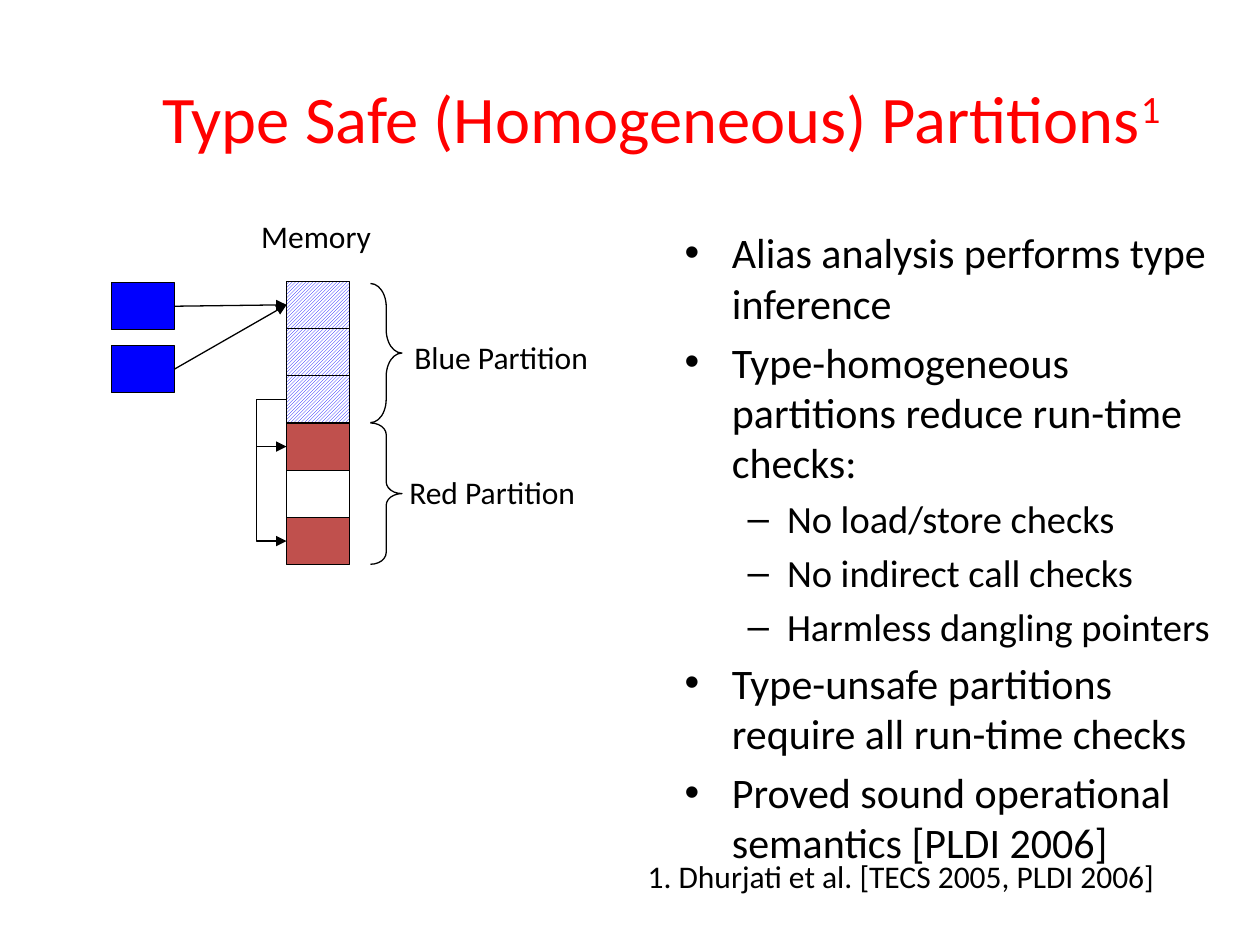
"""Build the slide on type-safe memory partitions."""
from dataclasses import dataclass

from lxml import etree
from pptx import Presentation
from pptx.dml.color import RGBColor
from pptx.enum.dml import MSO_PATTERN
from pptx.enum.shapes import MSO_CONNECTOR, MSO_SHAPE
from pptx.enum.text import MSO_AUTO_SIZE
from pptx.oxml.ns import qn
from pptx.util import Pt

RECTANGLE = MSO_SHAPE.RECTANGLE
BRACE = MSO_SHAPE.RIGHT_BRACE
STRAIGHT = MSO_CONNECTOR.STRAIGHT
HATCH = MSO_PATTERN.DARK_UPWARD_DIAGONAL
LEFT_SIDE, RIGHT_SIDE = 1, 3

FONT = "Calibri"
BLACK, WHITE, BLUE, RED = "000000", "FFFFFF", "0000FF", "C0504D"
TITLE_RED = "FF0000"
CELL_WIDTH, CELL_HEIGHT = 36, 27
MEMORY_LEFT, MEMORY_TOP = 163.75, 160.7
POINTER_LEFT, POINTER_TOP, POINTER_PITCH = 63.6, 161.5, 36
LOOP_REACH = 17


@dataclass
class Label:
    """A line of text and its frame."""
    text: str
    left: float
    top: float
    width: float


@dataclass
class Brace:
    """A right brace beside one partition."""
    top: float
    height: float
    curve: float


@dataclass
class Bullet:
    """A list item with its level and size."""
    text: str
    level: int = 0
    size: float = 24


CELL_FILLS = ["hatch", "hatch", "hatch", RED, None, RED]
LABELS = [
    Label("Memory", 142.2, 120.6, 79),
    Label("Blue Partition", 229.7, 189.5, 121.7),
    Label("Red Partition", 226.8, 267, 118.8),
    Label("1. Dhurjati et al. [TECS 2005, PLDI 2006]", 363, 486, 348.5),
]
BRACES = [Brace(162, 79.5, 0.74), Brace(241.7, 80.8, 0.372)]
BULLETS = [
    Bullet("Alias analysis performs type inference"),
    Bullet("Type-homogeneous partitions reduce run-time checks:"),
    Bullet("No load/store checks", 1, 22),
    Bullet("No indirect call checks", 1, 22),
    Bullet("Harmless dangling pointers", 1, 22),
    Bullet("Type-unsafe partitions require all run-time checks"),
    Bullet("Proved sound operational semantics [PLDI 2006]"),
]


def color(value: str) -> RGBColor:
    """Turn a hex string into a colour."""
    return RGBColor.from_string(value)


def place(box, left: float, top: float, width: float, height: float) -> None:
    """Move and size a placeholder."""
    box.left, box.top, box.width, box.height = map(Pt, (left, top, width, height))


def write(para, text: str, *, size: float, fill: str = BLACK, raised: bool = False) -> None:
    """Add a formatted span to a paragraph."""
    span = para.add_run()
    span.text = text
    span.font.name = FONT
    span.font.size = Pt(size)
    span.font.color.rgb = color(fill)
    if raised:
        span.font._element.set("baseline", "30000")


def style_line(item, *, arrow: bool = False) -> None:
    """Give an item a thin black line, with an arrowhead if asked."""
    item.line.color.rgb = color(BLACK)
    item.line.width = Pt(0.75)
    if arrow:
        etree.SubElement(item.line._get_or_add_ln(), qn("a:tailEnd"), type="triangle")


def add_outline(page, kind, left: float, top: float, width: float, height: float):
    """Add an unfilled shape with a thin black line."""
    shape = page.shapes.add_shape(kind, *map(Pt, (left, top, width, height)))
    shape.shadow.inherit = False
    shape.fill.background()
    style_line(shape)
    return shape


def add_cell(page, left: float, top: float, fill: str | None):
    """Add one memory cell or pointer square."""
    cell = add_outline(page, RECTANGLE, left, top, CELL_WIDTH, CELL_HEIGHT)
    if fill == "hatch":
        cell.fill.patterned()
        cell.fill.pattern = HATCH
        cell.fill.fore_color.rgb = color(BLUE)
        cell.fill.back_color.rgb = color(WHITE)
    elif fill:
        cell.fill.solid()
        cell.fill.fore_color.rgb = color(fill)
    return cell


def add_arrow(page, source, target) -> None:
    """Join the right side of the source to the left side of the target."""
    arrow = page.shapes.add_connector(STRAIGHT, 0, 0, 0, 0)
    arrow.begin_connect(source, RIGHT_SIDE)
    arrow.end_connect(target, LEFT_SIDE)
    style_line(arrow, arrow=True)
    etree.SubElement(arrow._element.spPr, qn("a:effectLst"))


def add_loop(page, source, target) -> None:
    """Draw a bent arrow around the left side of the cells."""
    start, end = (cell.top + cell.height // 2 for cell in (source, target))
    bend = source.left - Pt(LOOP_REACH)
    builder = page.shapes.build_freeform(source.left, start)
    builder.add_line_segments([(bend, start), (bend, end), (target.left, end)], close=False)
    loop = builder.convert_to_shape()
    loop.shadow.inherit = False
    loop.fill.background()
    style_line(loop, arrow=True)


def add_label(page, label: Label) -> None:
    """Add a one-line text box."""
    box = page.shapes.add_textbox(*map(Pt, (label.left, label.top, label.width, 29)))
    box.text_frame.word_wrap = False
    box.text_frame.auto_size = MSO_AUTO_SIZE.SHAPE_TO_FIT_TEXT
    write(box.text_frame.paragraphs[0], label.text, size=18)


def fill_placeholders(page) -> None:
    """Write the title and the list."""
    title, body = page.placeholders
    place(title, 72, 21.6, 612, 90)
    para = title.text_frame.paragraphs[0]
    write(para, "Type Safe (Homogeneous) Partitions", size=38, fill=TITLE_RED)
    write(para, "1", size=38, fill=TITLE_RED, raised=True)
    place(body, 384, 126, 327.6, 356.4)
    frame = body.text_frame
    frame.auto_size = MSO_AUTO_SIZE.NONE
    for index, bullet in enumerate(BULLETS):
        para = frame.add_paragraph() if index else frame.paragraphs[0]
        para.level = bullet.level
        write(para, bullet.text, size=bullet.size)
    frame.paragraphs[0].space_before = Pt(0)


def draw_memory(page) -> None:
    """Draw the cells, pointers, arrows and braces."""
    cells = [add_cell(page, MEMORY_LEFT, MEMORY_TOP + row * CELL_HEIGHT, fill)
             for row, fill in enumerate(CELL_FILLS)]
    for row in range(2):
        pointer = add_cell(page, POINTER_LEFT, POINTER_TOP + row * POINTER_PITCH, BLUE)
        add_arrow(page, pointer, cells[0])
    for target in (cells[3], cells[5]):
        add_loop(page, cells[2], target)
    for brace in BRACES:
        shape = add_outline(page, BRACE, 211.7, brace.top, 18, brace.height)
        shape.adjustments[0] = brace.curve


def main() -> None:
    """Build and save the deck."""
    deck = Presentation()
    deck.slide_width, deck.slide_height = Pt(720), Pt(540)
    page = deck.slides.add_slide(deck.slide_layouts[1])
    fill_placeholders(page)
    draw_memory(page)
    for label in LABELS:
        add_label(page, label)
    deck.save("out.pptx")


if __name__ == "__main__":
    main()
